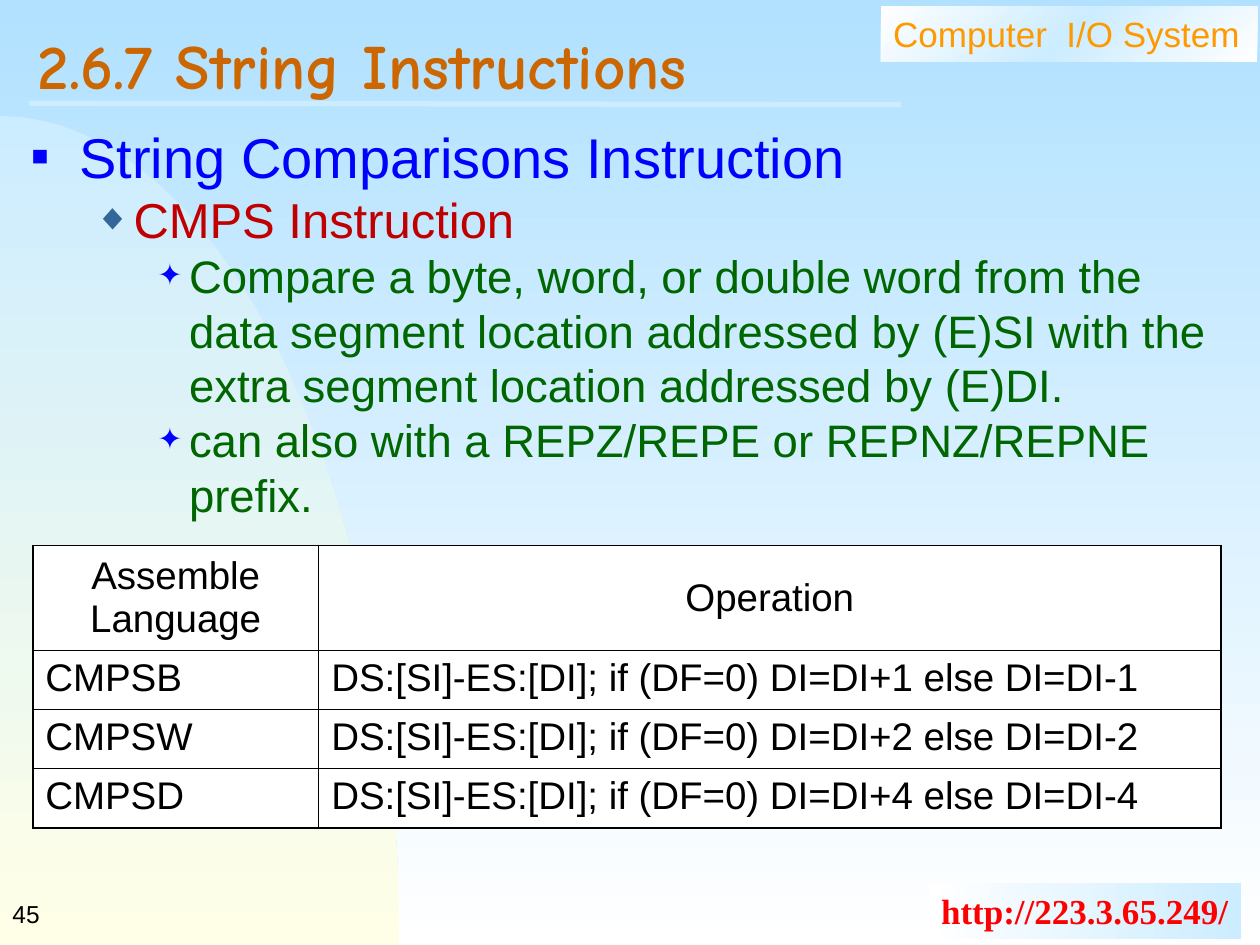
import math

import pptx
import pptx.dml.color
import pptx.enum.shapes
import pptx.enum.text
import pptx.oxml
import pptx.oxml.ns
import pptx.util
from pptx.util import Inches, Pt

RGBColor = pptx.dml.color.RGBColor
ANCHOR = pptx.enum.text.MSO_ANCHOR
ALIGN = pptx.enum.text.PP_ALIGN
qn = pptx.oxml.ns.qn
NS = pptx.oxml.ns.nsdecls("a")

BLACK = RGBColor(0x00, 0x00, 0x00)
WHITE = RGBColor(0xFF, 0xFF, 0xFF)
SKY = RGBColor(0xB1, 0xE1, 0xFF)
PALE_BLUE = RGBColor(0xCC, 0xEC, 0xFF)
CREAM = RGBColor(0xFF, 0xFF, 0xE7)
AMBER = RGBColor(0xFF, 0x99, 0x00)
ORANGE = RGBColor(0xCC, 0x66, 0x00)
RED = RGBColor(0xFF, 0x00, 0x00)
DARK_RED = RGBColor(0xC0, 0x00, 0x00)
BLUE = RGBColor(0x00, 0x00, 0xFF)
STEEL = RGBColor(0x33, 0x66, 0x99)
GREEN = RGBColor(0x00, 0x66, 0x00)

# Per level: left margin, hanging indent, space before, bullet, bullet colour,
# bullet size in percent, text size, text colour
LEVELS = [
    (0.38, 0.38, 8, "■", BLUE, 50, 32, BLUE),
    (0.81, 0.31, 0, "◆", STEEL, 75, 28, DARK_RED),
    (1.25, 0.25, 0, "✦", BLUE, 65, 26, GREEN),
]
OUTLINE = [
    (0, "String Comparisons Instruction"),
    (1, "CMPS Instruction"),
    (2, "Compare a byte, word, or double word from the data segment location "
        "addressed by (E)SI with the extra segment location addressed by (E)DI."),
    (2, "can also with a REPZ/REPE or REPNZ/REPNE prefix."),
]
OPERATIONS = [("Assemble Language", "Operation")] + [
    (f"CMPS{suffix}", f"DS:[SI]-ES:[DI]; if (DF=0) DI=DI+{step} else DI=DI-{step}")
    for suffix, step in (("B", 1), ("W", 2), ("D", 4))
]
COLUMN_WIDTHS = [2.27, 7.16]
ROW_HEIGHTS = [0.83, 0.47, 0.47, 0.47]
OUTER_BORDER, INNER_BORDER = 1.08, 0.45


def add_run(p, text, size, color, font="Arial", bold=False):
    r = p.add_run()
    r.text = text
    r.font.size = Pt(size)
    r.font.name = font
    r.font.bold = bold
    r.font.color.rgb = color


def set_gradient(fill, colors, angle):
    """Blend two colours; the angle is in degrees clockwise."""
    fill.gradient()
    fill.gradient_angle = (360 - angle) % 360
    for stop, color in zip(fill.gradient_stops, colors):
        stop.color.rgb = color


def add_middle_stop(sp, color):
    stops = sp.element.find(".//" + qn("a:gsLst"))
    stops.insert(1, pptx.oxml.parse_xml(
        f'<a:gs {NS} pos="50000"><a:srgbClr val="{color}"/></a:gs>'))


def add_ellipse_quarter(s, width, top, bottom):
    def point(step):
        t = math.radians(3 * step)
        return (Inches(width * math.sin(t)),
                Inches(bottom - (bottom - top) * math.cos(t)))

    builder = s.shapes.build_freeform(*point(0))
    corner = (0, Inches(bottom))
    builder.add_line_segments([point(i) for i in range(1, 31)] + [corner])
    sp = builder.convert_to_shape()
    sp.shadow.inherit = False
    sp.line.fill.background()
    set_gradient(sp.fill, (PALE_BLUE, CREAM), 90)


def add_banner(s, box, colors, angle, wrap):
    """Add a gradient box without outline; return it and its paragraph."""
    sp = s.shapes.add_shape(pptx.enum.shapes.MSO_SHAPE.RECTANGLE,
                            *map(Inches, box))
    sp.shadow.inherit = False
    sp.line.fill.background()
    set_gradient(sp.fill, colors, angle)
    tf = sp.text_frame
    tf.word_wrap = wrap
    tf.vertical_anchor = ANCHOR.TOP
    p = tf.paragraphs[0]
    p.alignment = ALIGN.LEFT
    return sp, p


def add_rule(s, start, end):
    line = s.shapes.add_connector(pptx.enum.shapes.MSO_CONNECTOR.STRAIGHT,
                                  *map(Inches, start + end))
    line.line.color.rgb = PALE_BLUE
    line.line.width = Pt(3)
    line.element.spPr.append(pptx.oxml.parse_xml(f"<a:effectLst {NS}/>"))


def add_page_number(s, number):
    tf = s.shapes.add_textbox(0, Inches(7), Inches(2.08), Inches(0.5)).text_frame
    tf.word_wrap = True
    tf.vertical_anchor = ANCHOR.MIDDLE
    add_run(tf.paragraphs[0], number, 14, BLACK)


def place_placeholder(s, sp, box, anchor):
    """Position a placeholder in front of the decoration."""
    s.shapes.element.append(sp.element)
    sp.left, sp.top, sp.width, sp.height = map(Inches, box)
    tf = sp.text_frame
    tf.word_wrap = True
    tf.auto_size = pptx.enum.text.MSO_AUTO_SIZE.NONE
    tf.vertical_anchor = anchor
    return tf


def fill_title(s):
    tf = place_placeholder(s, s.shapes.title, (0.2, 0.2, 9.55, 0.77), ANCHOR.MIDDLE)
    p = tf.paragraphs[0]
    p.alignment = ALIGN.LEFT
    p.line_spacing = 0.7
    add_run(p, "2.6.7 String Instructions", 36, ORANGE, "Comic Neue", True)


def fill_outline(s):
    tf = place_placeholder(s, s.placeholders[1], (0.15, 0.92, 9.6, 6), ANCHOR.TOP)
    for i, (level, text) in enumerate(OUTLINE):
        margin, hang, before, bullet, bullet_color, percent, size, color = LEVELS[level]
        p = tf.add_paragraph() if i else tf.paragraphs[0]
        p.level = level
        p.space_before = Pt(before)
        add_run(p, text, size, color)
        pPr = p._p.get_or_add_pPr()
        pPr.set("marL", str(Inches(margin)))
        pPr.set("indent", str(-Inches(hang)))
        for xml in (f'<a:buClr {NS}><a:srgbClr val="{bullet_color}"/></a:buClr>',
                    f'<a:buSzPct {NS} val="{percent * 1000}"/>',
                    f'<a:buFont {NS} typeface="Arial"/>',
                    f'<a:buChar {NS} char="{bullet}"/>'):
            pPr.append(pptx.oxml.parse_xml(xml))


def set_borders(cell, widths):
    """Draw black borders, given left, right, top and bottom widths in points."""
    tcPr = cell._tc.get_or_add_tcPr()
    for i, (side, width) in enumerate(zip("LRTB", widths)):
        tcPr.insert(i, pptx.oxml.parse_xml(
            f'<a:ln{side} {NS} w="{Pt(width)}"><a:solidFill>'
            f'<a:srgbClr val="{BLACK}"/></a:solidFill></a:ln{side}>'))


def add_operations_table(s):
    rows, cols = len(ROW_HEIGHTS), len(COLUMN_WIDTHS)
    table = s.shapes.add_table(rows, cols, Inches(0.26), Inches(4.33),
                               Inches(sum(COLUMN_WIDTHS)),
                               Inches(sum(ROW_HEIGHTS))).table
    for column, width in zip(table.columns, COLUMN_WIDTHS):
        column.width = Inches(width)
    for r, (row, height) in enumerate(zip(table.rows, ROW_HEIGHTS)):
        row.height = Inches(height)
        for c, cell in enumerate(row.cells):
            cell.fill.solid()
            cell.fill.fore_color.rgb = WHITE
            cell.vertical_anchor = ANCHOR.TOP if r else ANCHOR.MIDDLE
            p = cell.text_frame.paragraphs[0]
            p.alignment = ALIGN.LEFT if r else ALIGN.CENTER
            p.space_before = Pt(5.5)
            add_run(p, OPERATIONS[r][c], 22, BLACK)
            on_edge = (c == 0, c == cols - 1, r == 0, r == rows - 1)
            set_borders(cell, [OUTER_BORDER if edge else INNER_BORDER
                               for edge in on_edge])


def main():
    prs = pptx.Presentation()
    prs.slide_width, prs.slide_height = Inches(10), Inches(7.5)
    s = prs.slides.add_slide(prs.slide_layouts[1])
    set_gradient(s.background.fill, (SKY, WHITE), 90)
    add_ellipse_quarter(s, 3.17, 0.92, 7.5)
    course, p = add_banner(s, (6.99, 0.05, 2.99, 0.44), (WHITE, WHITE), 45, True)
    add_middle_stop(course, PALE_BLUE)
    add_run(p, "Computer  I/O System", 20, AMBER)
    _, p = add_banner(s, (7.37, 7.01, 2.48, 0.44), (WHITE, PALE_BLUE), 0, False)
    add_run(p, "http://223.3.65.249/", 20, RED, "Times New Roman", True)
    add_rule(s, (0.23, 0.82), (7.15, 0.83))
    add_page_number(s, "45")
    fill_title(s)
    fill_outline(s)
    add_operations_table(s)
    prs.save("out.pptx")


if __name__ == "__main__":
    main()
